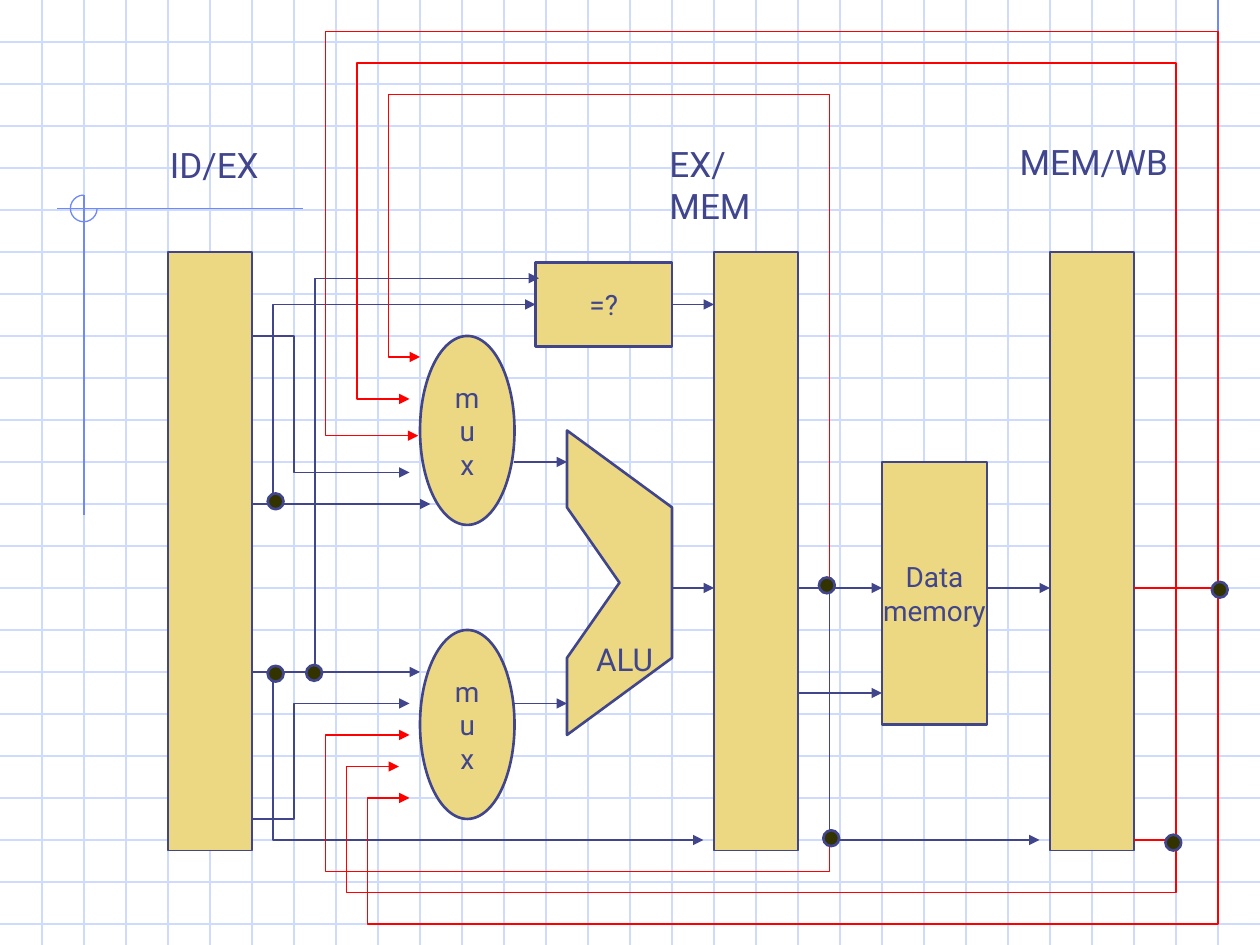
from lxml import etree
from pptx import Presentation
from pptx import util as u
from pptx.dml.color import RGBColor
from pptx.enum import shapes, text
from pptx.oxml.ns import qn

Pt = u.Pt
GRID = RGBColor(0xCF, 0xDB, 0xFD)
ACCENT = RGBColor(0x6F, 0x89, 0xF7)
INK = RGBColor(0x40, 0x45, 0x8C)
SAND = RGBColor(0xEC, 0xD8, 0x82)
DOT = RGBColor(0x33, 0x33, 0x00)
RED = RGBColor(0xFF, 0x00, 0x00)

W, H, STEP = 720, 540, 24
FONT = {"name": "Roboto", "size": Pt(16)}
RECT = shapes.MSO_SHAPE.RECTANGLE
OVAL = shapes.MSO_SHAPE.OVAL

REGISTERS = [96, 408, 600]  # left edges of the pipeline registers
BLOCKS = [  # kind, left, top, width, height, text
    (OVAL, 240, 192, 54, 108, "m\nu\nx"),
    (OVAL, 240, 360, 54, 108, "m\nu\nx"),
    (RECT, 504, 264, 60, 150, "Data\nmemory"),
]
ALU = [(324, 289.5), (354, 333), (324, 376.5), (324, 420),
       (384, 376.5), (384, 289.5), (324, 246)]
ARROWS = [  # x1, x2, y
    (294, 324, 264), (294, 324, 402), (384, 408, 336), (144, 246, 288),
    (144, 240, 384), (456, 504, 336), (456, 504, 396), (564, 600, 336),
]
TAPS = [  # plain red lines out of MEM/WB
    (648, 480, 672, 480), (648, 336, 696, 336),
    (696, 318, 696, 336), (672, 468, 672, 480),
]
DATA_PATHS = [
    [(156, 288), (156, 174), (306, 174)],
    [(180, 384), (180, 159), (307.5, 159)],
    [(156, 384), (156, 480), (402, 480)],
    [(144, 468), (168, 468), (168, 402), (234, 402)],
    [(144, 192), (168, 192), (168, 270), (234, 270)],
    [(474, 336), (474, 480), (594, 480)],
]
FORWARDING = [  # x and y of source, x of return leg, y of crossing, x and y of mux
    (474, 480, 186, 498, 234, 420),
    (672, 480, 198, 510, 228, 438),
    (696, 336, 210, 528, 234, 456),
    (696, 318, 186, 18, 239, 249),
    (672, 468, 204, 36, 234, 228),
    (474, 336, 222, 54, 240, 204),
]
DOTS = [(157.5, 385), (157.5, 286.5), (179.5, 384.5), (472.5, 334.5),
        (670.5, 481.5), (697, 337), (475, 479)]
LABELS = [  # text, left, top, width, height, size, wrap
    ("ALU", 333.5, 362, 48, 29, 18, False),
    ("ID/EX", 90, 78.5, 66, 32, 20, False),
    ("EX/MEM", 375.5, 78, 80, 56, 20, True),
    ("MEM/WB", 575.5, 77, 101, 32, 20, False),
]


def set_all(obj, values):
    for name, value in values.items():
        setattr(obj, name, value)


def style_line(sp, color, width=0.75, arrow=False):
    sp.line.color.rgb = color
    sp.line.width = Pt(width)
    if arrow:
        etree.SubElement(sp.line._get_or_add_ln(), qn("a:tailEnd"), type="triangle")


def style_shape(sp, fill, line, width=0.75, arrow=False):
    sp.shadow.inherit = False
    if fill is None:
        sp.fill.background()
    else:
        sp.fill.solid()
        sp.fill.fore_color.rgb = fill
    style_line(sp, line, width, arrow)


def add_line(s, x1, y1, x2, y2, color, arrow=False):
    cx = s.shapes.add_connector(shapes.MSO_CONNECTOR.STRAIGHT, Pt(x1), Pt(y1), Pt(x2), Pt(y2))
    style_line(cx, color, arrow=arrow)
    etree.SubElement(cx._element.spPr, qn("a:effectLst"))
    return cx


def add_path(s, points, close=False):
    fb = s.shapes.build_freeform(*points[0], scale=float(Pt(1)))
    fb.add_line_segments(points[1:], close=close)
    return fb.convert_to_shape()


def add_wire(s, points, color):
    style_shape(add_path(s, points), None, color, arrow=True)


def write(tf, content, align, size=16):
    tf.text = content
    for p in tf.paragraphs:
        p.alignment = align
        set_all(p.font, {**FONT, "size": Pt(size)})
        p.font.color.rgb = INK


def add_block(s, kind, x, y, w, h, content="", width=1.5):
    sp = s.shapes.add_shape(kind, Pt(x), Pt(y), Pt(w), Pt(h))
    style_shape(sp, SAND, INK, width)
    if content:
        set_all(sp.text_frame, {"word_wrap": False,
                                "vertical_anchor": text.MSO_ANCHOR.MIDDLE})
        write(sp.text_frame, content, text.PP_ALIGN.CENTER)
    return sp


def add_dot(s, cx, cy, d=9):
    sp = s.shapes.add_shape(OVAL, Pt(cx - d / 2), Pt(cy - d / 2), Pt(d), Pt(d))
    style_shape(sp, DOT, INK, 1.5)


def add_label(s, content, x, y, w, h, size, wrap):
    tf = s.shapes.add_textbox(Pt(x), Pt(y), Pt(w), Pt(h)).text_frame
    tf.word_wrap = wrap
    write(tf, content, text.PP_ALIGN.LEFT, size)


def add_backdrop(s):
    """Squared paper with the corner ornament."""
    for y in range(STEP, H, STEP):
        add_line(s, 0, y, W, y, GRID)
    for x in range(STEP, W, STEP):
        add_line(s, x, 0, x, H, GRID)
    for ends in [(696, 0, 696, 186), (173, 119.25, 32.5, 119.25), (48, 111.5, 48, 294.5)]:
        add_line(s, *ends, ACCENT)
    arc = s.shapes.add_shape(shapes.MSO_SHAPE.ARC, Pt(40.25), Pt(111.5), Pt(15.25), Pt(15.25))
    arc.adjustments[0] = 0
    arc.adjustments[1] = 162  # 270 degrees
    style_shape(arc, None, ACCENT)


def main():
    prs = Presentation()
    prs.slide_width, prs.slide_height = Pt(W), Pt(H)
    s = prs.slides.add_slide(prs.slide_layouts[6])
    add_backdrop(s)

    for x in REGISTERS:
        add_block(s, RECT, x, 144, 48, 342, width=0.75)
    for block in BLOCKS:
        add_block(s, *block)
    comparator = add_block(s, RECT, 306, 150, 78, 48, "=?")
    style_shape(add_path(s, ALU, close=True), SAND, INK, 1.5)

    for x1, x2, y in ARROWS:
        add_line(s, x1, y, x2, y, INK, arrow=True)
    add_line(s, 384, 174, 408, 174, INK, arrow=True).begin_connect(comparator, 3)
    for tap in TAPS:
        add_line(s, *tap, RED)
    for points in DATA_PATHS:
        add_wire(s, points, INK)
    for x, y, back, across, mux_x, mux_y in FORWARDING:
        add_wire(s, [(x, y), (x, across), (back, across), (back, mux_y), (mux_x, mux_y)], RED)

    for center in DOTS:
        add_dot(s, *center)
    for label in LABELS:
        add_label(s, *label)
    prs.save("out.pptx")


if __name__ == "__main__":
    main()
